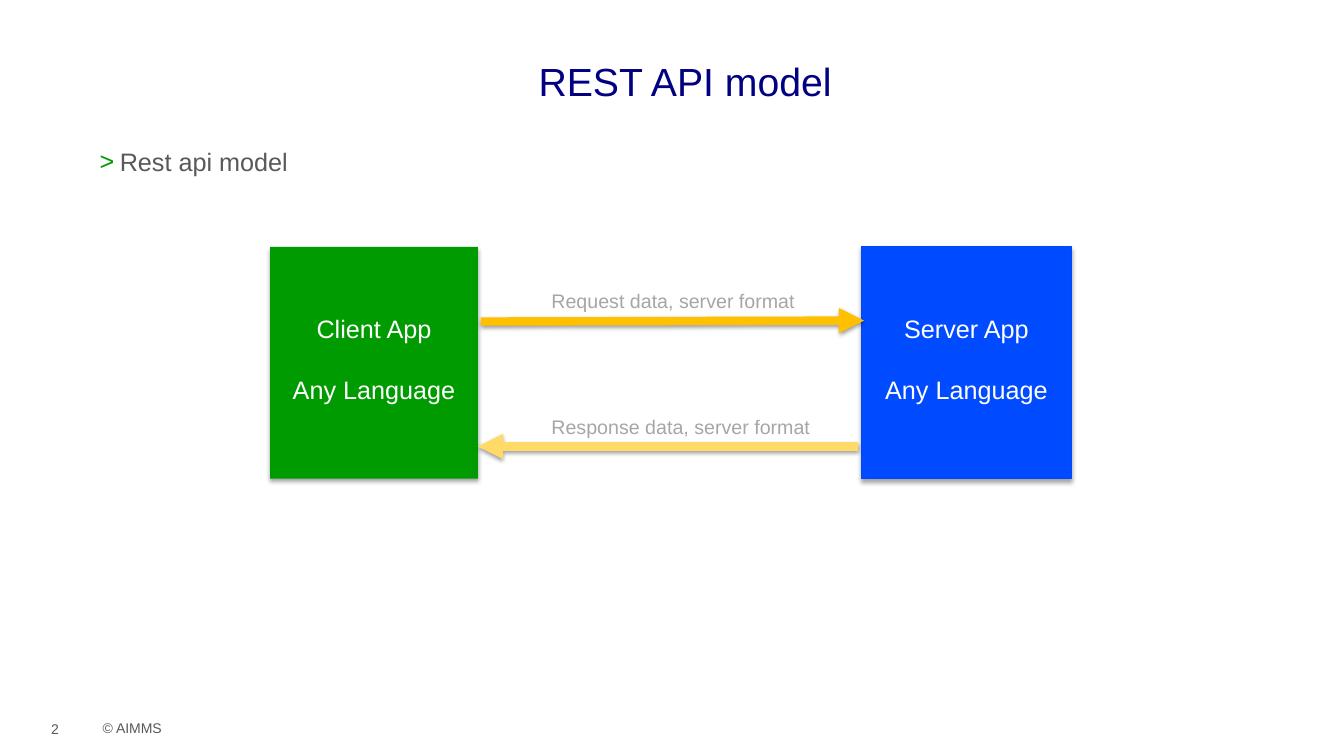
import pptx
import pptx.dml.color
import pptx.enum.shapes
import pptx.enum.text
import pptx.oxml
import pptx.oxml.ns
import pptx.util
from lxml import etree

Inches = pptx.util.Inches
Pt = pptx.util.Pt
RGBColor = pptx.dml.color.RGBColor
Align = pptx.enum.text.PP_ALIGN
Anchor = pptx.enum.text.MSO_ANCHOR
qn = pptx.oxml.ns.qn

NAVY = RGBColor(0x00, 0x00, 0x81)
GREY = RGBColor(0x59, 0x59, 0x59)
FOOTER_GREY = RGBColor(0x58, 0x58, 0x58)
LABEL_GREY = RGBColor(0xA6, 0xA6, 0xA6)
WHITE = RGBColor(0xFF, 0xFF, 0xFF)
GREEN = RGBColor(0x00, 0x9B, 0x00)
BLUE = RGBColor(0x00, 0x4B, 0xFF)
BLUE_EDGE = RGBColor(0x00, 0x49, 0xF9)
AMBER = RGBColor(0xFF, 0xC0, 0x00)
PALE_AMBER = RGBColor(0xFF, 0xDA, 0x66)

# Content
TITLE = "REST API model"
BULLET = "Rest api model"
COPYRIGHT = "© AIMMS"
PAGE_NUMBER = "2"
# left, width, fill, edge, lines
APPS = [
    (2.68, 2.06, GREEN, None, ["Client App", "Any Language"]),
    (8.54, 2.09, BLUE, BLUE_EDGE, ["Server App", "Any Language"]),
]
# start, end, colour, label
MESSAGES = [
    ((4.77, 3.19), (8.57, 3.18), AMBER, "Request data, server format"),
    ((8.51, 4.43), (4.74, 4.43), PALE_AMBER, "Response data, server format"),
]
APP_TOP, APP_HEIGHT = 2.45, 2.3
LABEL_LEFT, LABEL_RISE = 5.37, 0.36

presentation = pptx.Presentation()
presentation.slide_width = Inches(13.33)
presentation.slide_height = Inches(7.5)
slide = presentation.slides.add_slide(presentation.slide_layouts[6])


def write(shape, lines, size=18, color=GREY, align=Align.LEFT, anchor=Anchor.TOP,
          margin_top=0.05, gap=0, bullet=None, spacing=None, wrap=True):
    frame = shape.text_frame
    frame.word_wrap = wrap
    frame.vertical_anchor = anchor
    frame.margin_top = Inches(margin_top)
    for index, line in enumerate(lines):
        paragraph = frame.paragraphs[0] if index == 0 else frame.add_paragraph()
        paragraph.alignment = align
        if index:
            paragraph.space_before = Pt(gap)
        if spacing:
            paragraph.line_spacing = spacing
        if bullet:
            symbol, bullet_color = bullet
            properties = paragraph._p.get_or_add_pPr()
            properties.set("marL", str(Inches(0.2)))
            properties.set("indent", str(-Inches(0.2)))
            color_element = etree.SubElement(properties, qn("a:buClr"))
            etree.SubElement(color_element, qn("a:srgbClr"), val=str(bullet_color))
            etree.SubElement(properties, qn("a:buFont"), typeface="Arial")
            etree.SubElement(properties, qn("a:buChar"), char=symbol)
        run = paragraph.add_run()
        run.text = line
        run.font.name = "Arial"
        run.font.size = Pt(size)
        run.font.color.rgb = color


def text_box(left, top, width, height, text, **style):
    box = slide.shapes.add_textbox(Inches(left), Inches(top), Inches(width), Inches(height))
    write(box, [text], **style)


def add_shadow(shape, opacity, distance):
    effects = etree.SubElement(shape._element.spPr, qn("a:effectLst"))
    shadow = etree.SubElement(effects, qn("a:outerShdw"), blurRad=str(Pt(3.1)),
                              dist=str(Pt(distance)), dir="5400000", rotWithShape="0")
    color = etree.SubElement(shadow, qn("a:srgbClr"), val="000000")
    etree.SubElement(color, qn("a:alpha"), val=str(opacity * 1000))


# Footer, title and bullet
text_box(0.92, 7.09, 0.8, 0.27, COPYRIGHT, size=10, color=FOOTER_GREY, wrap=False)
text_box(0.93, 0.48, 11.73, 0.49, TITLE, size=28, color=NAVY, align=Align.CENTER,
         margin_top=0.09)
text_box(0.89, 1.23, 11.77, 5.55, BULLET, bullet=(">", GREEN), spacing=1.5, margin_top=0.07)
text_box(0.41, 6.96, 0.51, 0.4, PAGE_NUMBER, size=10, color=FOOTER_GREY, anchor=Anchor.BOTTOM)

# Client and server
for left, width, fill, edge, lines in APPS:
    app = slide.shapes.add_shape(pptx.enum.shapes.MSO_SHAPE.RECTANGLE, Inches(left),
                                 Inches(APP_TOP), Inches(width), Inches(APP_HEIGHT))
    app.fill.solid()
    app.fill.fore_color.rgb = fill
    if edge:
        app.line.color.rgb = edge
        app.line.width = Pt(0.75)
    else:
        app.line.fill.background()
    add_shadow(app, opacity=35, distance=1.8)
    write(app, lines, color=WHITE, align=Align.CENTER, margin_top=0.66, gap=22)

# Arrows
for start, end, color, label in MESSAGES:
    arrow = slide.shapes.add_connector(pptx.enum.shapes.MSO_CONNECTOR.STRAIGHT,
                                       *map(Inches, start + end))
    arrow.line.color.rgb = color
    arrow.line.width = Pt(6)
    etree.SubElement(arrow.line._get_or_add_ln(), qn("a:tailEnd"), type="triangle")
    add_shadow(arrow, opacity=38, distance=1.6)

# Arrow labels
for start, end, color, label in MESSAGES:
    text_box(LABEL_LEFT, end[1] - LABEL_RISE, 3.41, 0.67, label, size=14, color=LABEL_GREY)

presentation.save("out.pptx")
